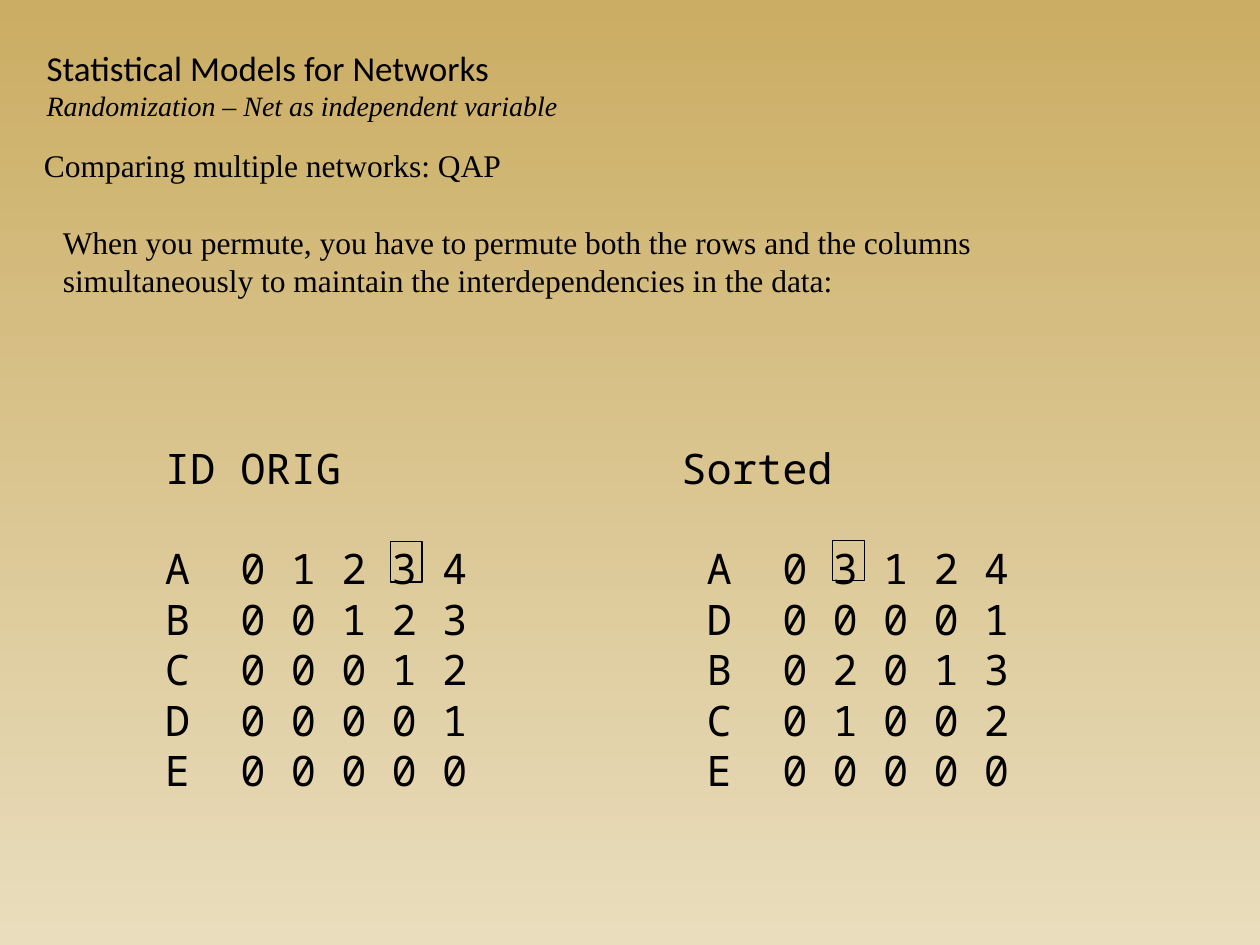
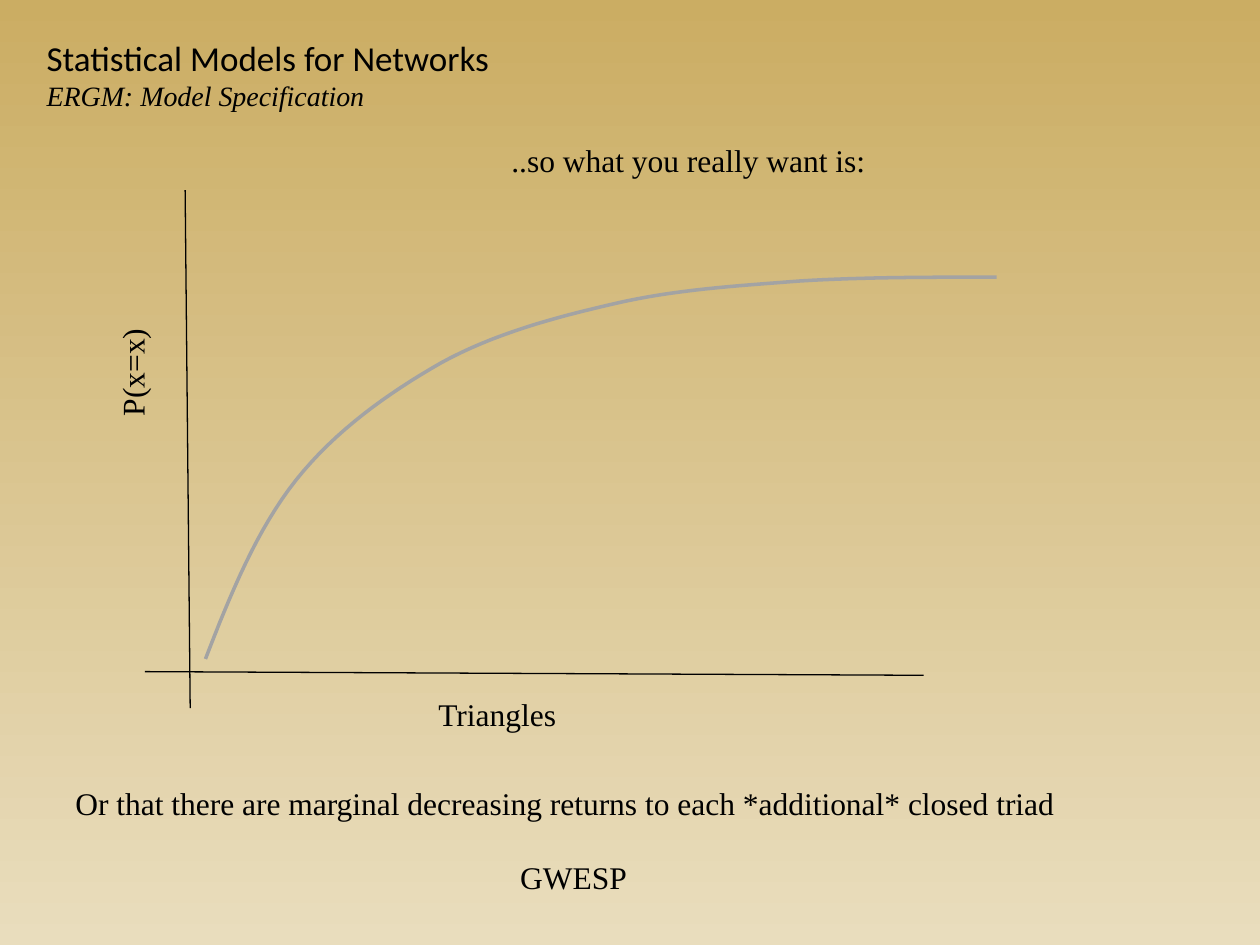
from dataclasses import dataclass

from lxml import etree
from pptx import Presentation
from pptx import util as u
from pptx.dml.color import RGBColor
from pptx.enum import shapes, text
from pptx.oxml.ns import qn


@dataclass(frozen=True)
class Theme:
    ink: RGBColor = RGBColor(0x00, 0x00, 0x00)
    curve: RGBColor = RGBColor(0xA3, 0xA3, 0xA3)
    background_top: RGBColor = RGBColor(0xCB, 0xAD, 0x63)
    background_bottom: RGBColor = RGBColor(0xE9, 0xDD, 0xBD)
    thin: float = 0.75
    thick: float = 2
    matrix_line: float = 28.8
    character: float = 14.4


THEME = Theme()
TITLE = {"name": "Calibri", "size": u.Pt(20)}
SUBTITLE = {"name": "Times New Roman", "size": u.Pt(16), "italic": True}
BODY = {"name": "Times New Roman", "size": u.Pt(18)}
MATRIX = {"name": "Noto Sans Mono", "size": u.Pt(24)}

# Start point, then two control points and an end point for each segment
RETURNS_CURVE = [
    (117.4, 376.6),
    (131.8, 339.1), (146.9, 302.4), (169.2, 274.3),
    (191.5, 246.2), (221.8, 224.6), (252, 207.4),
    (282.2, 190.8), (316.8, 181.4), (351.4, 173.5),
    (385.2, 165.6), (420.5, 163.4), (457.2, 160.6),
    (493.2, 158.4), (531.4, 158.4), (569.5, 158.4),
]


def set_background(master):
    fill = master.background.fill
    fill.gradient()
    fill.gradient_angle = 270
    colors = (THEME.background_top, THEME.background_bottom)
    for position, (stop, color) in enumerate(zip(fill.gradient_stops, colors)):
        stop.color.rgb = color
        stop.position = position


def write_paragraphs(frame, lines):
    """Fill a text frame from (text, font format) pairs."""
    frame.text = "\n".join(line for line, _ in lines)
    frame.word_wrap = True
    frame.auto_size = text.MSO_AUTO_SIZE.NONE
    frame.vertical_anchor = text.MSO_ANCHOR.TOP
    for paragraph, (_, font_format) in zip(frame.paragraphs, lines):
        paragraph.alignment = text.PP_ALIGN.LEFT
        for attribute, value in font_format.items():
            setattr(paragraph.font, attribute, value)
        paragraph.font.color.rgb = THEME.ink


def place(shape, left, top, width, height):
    frame = {"left": left, "top": top, "width": width, "height": height}
    for attribute, value in frame.items():
        setattr(shape, attribute, u.Pt(value))


def add_titled_slide(presentation, subtitle, top):
    slide = presentation.slides.add_slide(presentation.slide_layouts[5])
    title = slide.shapes.title
    place(title, 19.4, top, 311, 51)
    write_paragraphs(title.text_frame,
                     [("Statistical Models for Networks", TITLE), (subtitle, SUBTITLE)])
    return slide


def add_text(slide, lines, left, top, width, height=29):
    box = slide.shapes.add_textbox(*map(u.Pt, (left, top, width, height)))
    write_paragraphs(box.text_frame, lines)
    return box


def add_matrix(slide, heading, rows, left, width, indent=0):
    """Add a heading and, one line lower, monospaced rows."""
    lines = [(line, MATRIX) for line in (heading, *rows)]
    box = add_text(slide, lines, left, 249.1, width, 208.8)
    row_paragraphs = box.text_frame.paragraphs[1:]
    row_paragraphs[0].space_before = u.Pt(THEME.matrix_line)
    for paragraph in row_paragraphs:
        properties = paragraph._p.get_or_add_pPr()
        properties.set("marL", str(u.Pt(indent)))
        properties.set("indent", "0")


def set_line(shape, color, width):
    shape.line.color.rgb = color
    shape.line.width = u.Pt(width)


def add_highlight(slide, left, top):
    frame = slide.shapes.add_shape(shapes.MSO_SHAPE.RECTANGLE,
                                   *map(u.Pt, (left, top, 18, 23)))
    frame.shadow.inherit = False
    frame.fill.background()
    set_line(frame, THEME.ink, THEME.thin)


def add_axis(slide, start, end):
    axis = slide.shapes.add_connector(shapes.MSO_CONNECTOR.STRAIGHT,
                                      *map(u.Pt, (*start, *end)))
    set_line(axis, THEME.ink, THEME.thin)
    etree.SubElement(axis._element.spPr, qn("a:effectLst"))


def bezier_points(points, steps=16):
    """Yield points along a chain of cubic curves, in EMU."""
    for first in range(0, len(points) - 1, 3):
        segment = points[first:first + 4]
        for step in range(1, steps + 1):
            t = step / steps
            weights = ((1 - t) ** 3, 3 * t * (1 - t) ** 2, 3 * t ** 2 * (1 - t), t ** 3)
            yield tuple(u.Pt(sum(w * value for w, value in zip(weights, axis)))
                        for axis in zip(*segment))


def add_curve(slide, points):
    builder = slide.shapes.build_freeform(*map(u.Pt, points[0]))
    builder.add_line_segments(list(bezier_points(points)), close=False)
    curve = builder.convert_to_shape()
    curve.shadow.inherit = False
    curve.fill.background()
    set_line(curve, THEME.curve, THEME.thick)


def build_permutation_slide(presentation):
    slide = add_titled_slide(presentation, "Randomization – Net as independent variable", 23)
    add_text(slide, [("Comparing multiple networks: QAP", BODY)], 18, 79.9, 304.6, 31)
    add_text(slide, [("When you permute, you have to permute both the rows and the columns "
                      "simultaneously to maintain the interdependencies in the data:", BODY)],
             28.8, 123.8, 629.3, 55.4)
    add_matrix(slide, "ID ORIG",
               ["A  0 1 2 3 4", "B  0 0 1 2 3", "C  0 0 0 1 2", "D  0 0 0 0 1", "E  0 0 0 0 0"],
               87.1, 188.6)
    add_matrix(slide, "Sorted",
               ["A  0 3 1 2 4", "D  0 0 0 0 1", "B  0 2 0 1 3", "C  0 1 0 0 2", "E  0 0 0 0 0"],
               382.3, 203, THEME.character)
    add_highlight(slide, 223.2, 309.6)
    add_highlight(slide, 475.9, 308.9)


def build_specification_slide(presentation):
    slide = add_titled_slide(presentation, "ERGM: Model Specification", 17.3)
    add_axis(slide, (105.8, 108.7), (108.7, 404.6))
    add_axis(slide, (527.8, 385.9), (82.8, 383.8))
    add_curve(slide, RETURNS_CURVE)
    labels = [
        ("Triangles", 243.4, 393.8, 82.8),
        ("..so what you really want is:", 285.1, 77, 218.9),
        ("Or that there are marginal decreasing returns to each *additional* closed triad",
         36, 444.2, 580.3),
        ("GWESP", 290.2, 486.7, 76.3),
    ]
    for label, left, top, width in labels:
        add_text(slide, [(label, BODY)], left, top, width)
    add_text(slide, [("P(x=x)", BODY)], 43.2, 198, 64.8).rotation = 270


def main():
    presentation = Presentation()
    presentation.slide_width, presentation.slide_height = u.Pt(720), u.Pt(540)
    set_background(presentation.slide_master)
    build_permutation_slide(presentation)
    build_specification_slide(presentation)
    presentation.save("out.pptx")


if __name__ == "__main__":
    main()
